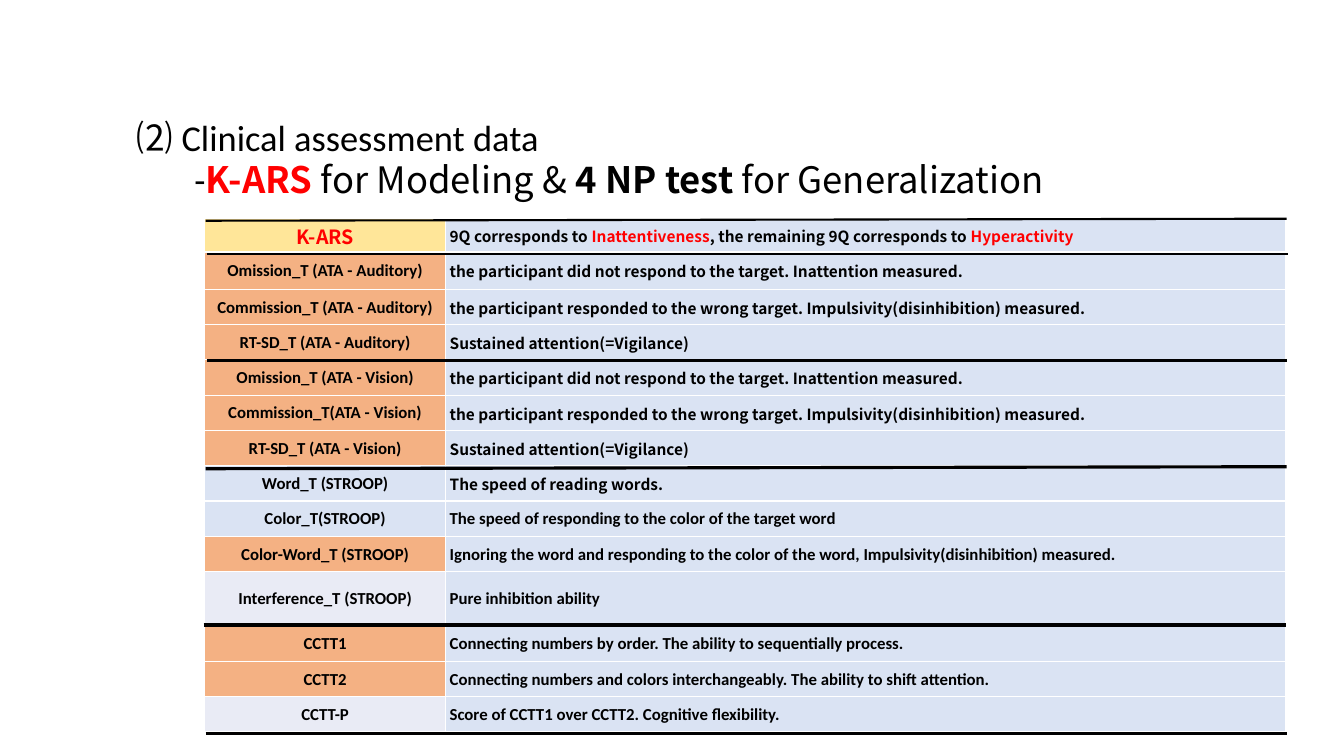
from lxml import etree
from pptx import Presentation
from pptx.dml.color import RGBColor
from pptx.enum.shapes import MSO_CONNECTOR
from pptx.enum.text import MSO_ANCHOR, MSO_AUTO_SIZE, PP_ALIGN
from pptx.oxml.ns import qn
from pptx.util import Pt

PX = 9144  # 100 px to the inch
STRAIGHT = MSO_CONNECTOR.STRAIGHT
MIDDLE = MSO_ANCHOR.MIDDLE
GROW = MSO_AUTO_SIZE.SHAPE_TO_FIT_TEXT
LEFT, CENTER = PP_ALIGN.LEFT, PP_ALIGN.CENTER

BLACK = RGBColor(0x00, 0x00, 0x00)
WHITE = RGBColor(0xFF, 0xFF, 0xFF)
RED = RGBColor(0xFF, 0x00, 0x00)
YELLOW = RGBColor(0xFF, 0xE6, 0x99)
ORANGE = RGBColor(0xF4, 0xB1, 0x83)
BLUE = RGBColor(0xDA, 0xE3, 0xF3)
PALE = RGBColor(0xE9, 0xEB, 0xF5)

SANS, NOTO = "Calibri", "Noto Sans CJK KR"

# Runs: text, font, colour, bold
HEAD = [("⑵ ", NOTO, BLACK, False),
        ("Clinical assessment data", SANS, BLACK, False)]
SUBHEAD = [("-", SANS, BLACK, False),
           ("K-ARS", NOTO, RED, True),
           (" for Modeling & ", NOTO, BLACK, False),
           ("4 NP test", NOTO, BLACK, True),
           (" for Generalization", NOTO, BLACK, False)]
SCALE = [("9Q corresponds to ", BLACK), ("Inattentiveness", RED),
         (", the remaining 9Q corresponds to ", BLACK), ("Hyperactivity", RED)]

OMIT = "the participant did not respond to the target. Inattention measured."
COMMIT = ("the participant responded to the wrong target. "
          "Impulsivity(disinhibition) measured.")
SUSTAIN = "Sustained attention(=Vigilance)"

# Label, label fill, meaning
TESTS = [
    ("Omission_T (ATA - Auditory)", ORANGE, OMIT),
    ("Commission_T (ATA - Auditory)", ORANGE, COMMIT),
    ("RT-SD_T (ATA - Auditory)", ORANGE, SUSTAIN),
    ("Omission_T (ATA - Vision)", ORANGE, OMIT),
    ("Commission_T(ATA - Vision)", ORANGE, COMMIT),
    ("RT-SD_T (ATA - Vision)", ORANGE, SUSTAIN),
    ("Word_T (STROOP)", BLUE, "The speed of reading words."),
    ("Color_T(STROOP)", BLUE,
     "The speed of responding to the color of the target word"),
    ("Color-Word_T (STROOP)", ORANGE,
     "Ignoring the word and responding to the color of the word, "
     "Impulsivity(disinhibition) measured."),
    ("Interference_T (STROOP)", PALE, "Pure inhibition ability"),
    ("CCTT1", ORANGE,
     "Connecting numbers by order. The ability to sequentially process."),
    ("CCTT2", ORANGE,
     "Connecting numbers and colors interchangeably. "
     "The ability to shift attention."),
    ("CCTT-P", PALE, "Score of CCTT1 over CCTT2. Cognitive flexibility."),
]
NOTO_ROWS = 8  # upper rows whose meaning is set in NOTO

COLS = [239, 833]
ROWS = [33, 37] + [35] * 8 + [54] + [35] * 3

# Rules between test groups: x1, y1, x2, y2, points
RULES = [(205, 358, 1276, 358, 2.25), (204, 465, 1276, 463, 2.25),
         (202, 620, 1275, 620, 2.25), (204, 728, 1276, 728, 2.25),
         (204, 219, 1276, 217, 1.5), (205, 252, 1277, 252, 1.5)]


def style(font, size, name, color, bold):
    font.size, font.name, font.bold = Pt(size), name, bold
    font.color.rgb = color


def add_head(slide):
    box = slide.shapes.add_textbox(126 * PX, 118 * PX, 1199 * PX, 95 * PX)
    frame = box.text_frame
    frame.word_wrap, frame.auto_size = True, GROW
    first, second = frame.paragraphs[0], frame.add_paragraph()
    for para, runs in ((first, HEAD), (second, SUBHEAD)):
        para.line_spacing = 0.8
        for text, name, color, bold in runs:
            run = para.add_run()
            run.text = text
            style(run.font, 26, name, color, bold)
            if name == NOTO:
                props = run.font._element
                etree.SubElement(props, qn("a:ea"), typeface=NOTO)
    second.space_before = Pt(5)
    second._p.get_or_add_pPr().set("marL", str(57 * PX))


def edge(cell):
    """Give the cell a thin white border on all sides."""
    props = cell._tc.get_or_add_tcPr()
    for side in ("lnL", "lnR", "lnT", "lnB"):
        line = etree.SubElement(props, qn("a:" + side), w=str(Pt(1)))
        fill = etree.SubElement(line, qn("a:solidFill"))
        etree.SubElement(fill, qn("a:srgbClr"), val=str(WHITE))


def fill_cell(cell, runs, fill, align, size, name):
    edge(cell)
    cell.fill.solid()
    cell.fill.fore_color.rgb = fill
    cell.vertical_anchor = MIDDLE
    cell.margin_left = (1 if align == CENTER else 4) * PX
    cell.margin_right = cell.margin_top = PX
    cell.margin_bottom = 0
    para = cell.text_frame.paragraphs[0]
    para.alignment = align
    style(para.font, size, name, runs[0][1], True)
    for text, color in runs:
        run = para.add_run()
        run.text = text
        if len(runs) > 1:
            run.font.color.rgb = color


def add_tests(slide):
    table = slide.shapes.add_table(
        len(ROWS), len(COLS), 203 * PX, 217 * PX,
        sum(COLS) * PX, sum(ROWS) * PX).table
    table.first_row = table.horz_banding = False
    for col, width in zip(table.columns, COLS):
        col.width = width * PX
    for row, height in zip(table.rows, ROWS):
        row.height = height * PX
    fill_cell(table.cell(0, 0), [("K-ARS", RED)], YELLOW, CENTER, 14, NOTO)
    fill_cell(table.cell(0, 1), SCALE, BLUE, LEFT, 11, NOTO)
    for i, (label, fill, text) in enumerate(TESTS, 1):
        size, name = (11, NOTO) if i < NOTO_ROWS else (12, SANS)
        fill_cell(table.cell(i, 0), [(label, BLACK)], fill, CENTER, 12, SANS)
        fill_cell(table.cell(i, 1), [(text, BLACK)], BLUE, LEFT, size, name)


def add_rule(slide, x1, y1, x2, y2, weight):
    rule = slide.shapes.add_connector(
        STRAIGHT, x1 * PX, y1 * PX, x2 * PX, y2 * PX)
    rule.line.color.rgb = BLACK
    rule.line.width = Pt(weight)
    etree.SubElement(rule._element.spPr, qn("a:effectLst"))


def main():
    deck = Presentation()
    deck.slide_width, deck.slide_height = 1333 * PX, 750 * PX
    slide = deck.slides.add_slide(deck.slide_layouts[6])
    add_tests(slide)
    add_head(slide)
    for rule in RULES:
        add_rule(slide, *rule)
    deck.save("out.pptx")


if __name__ == "__main__":
    main()
